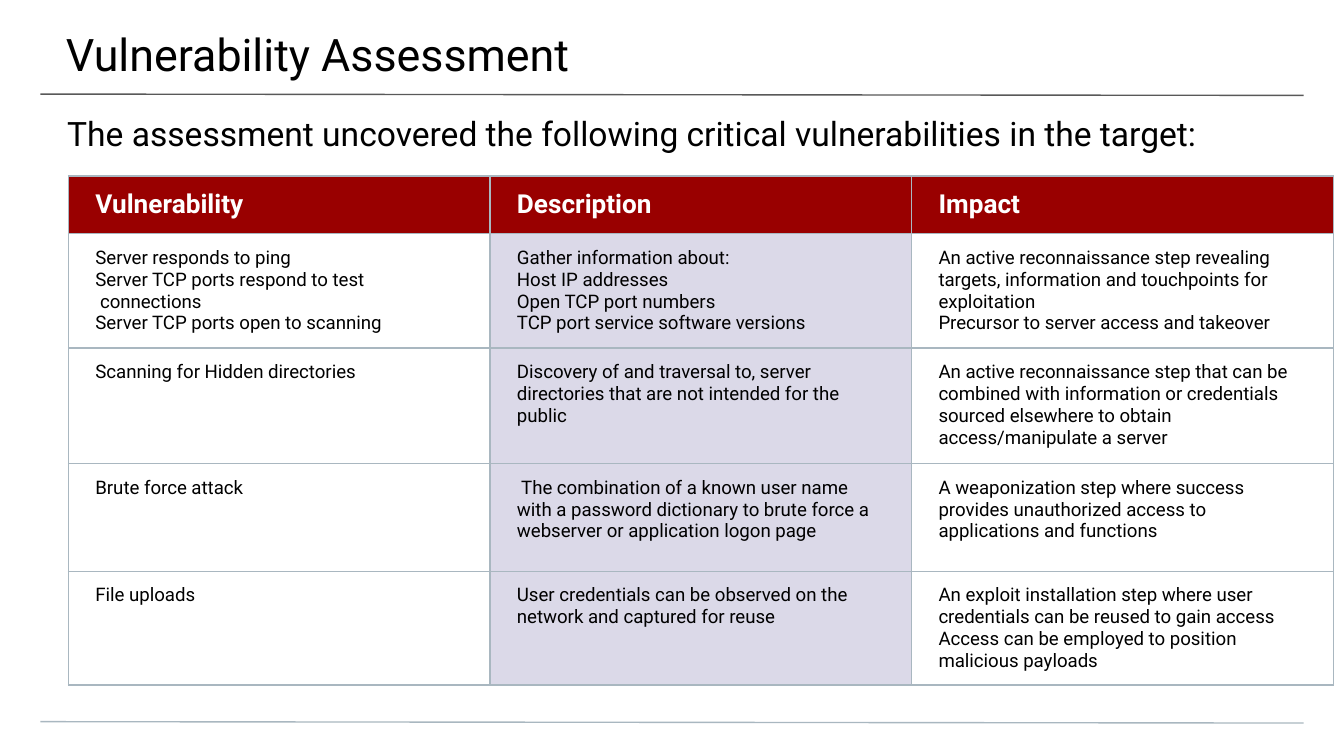
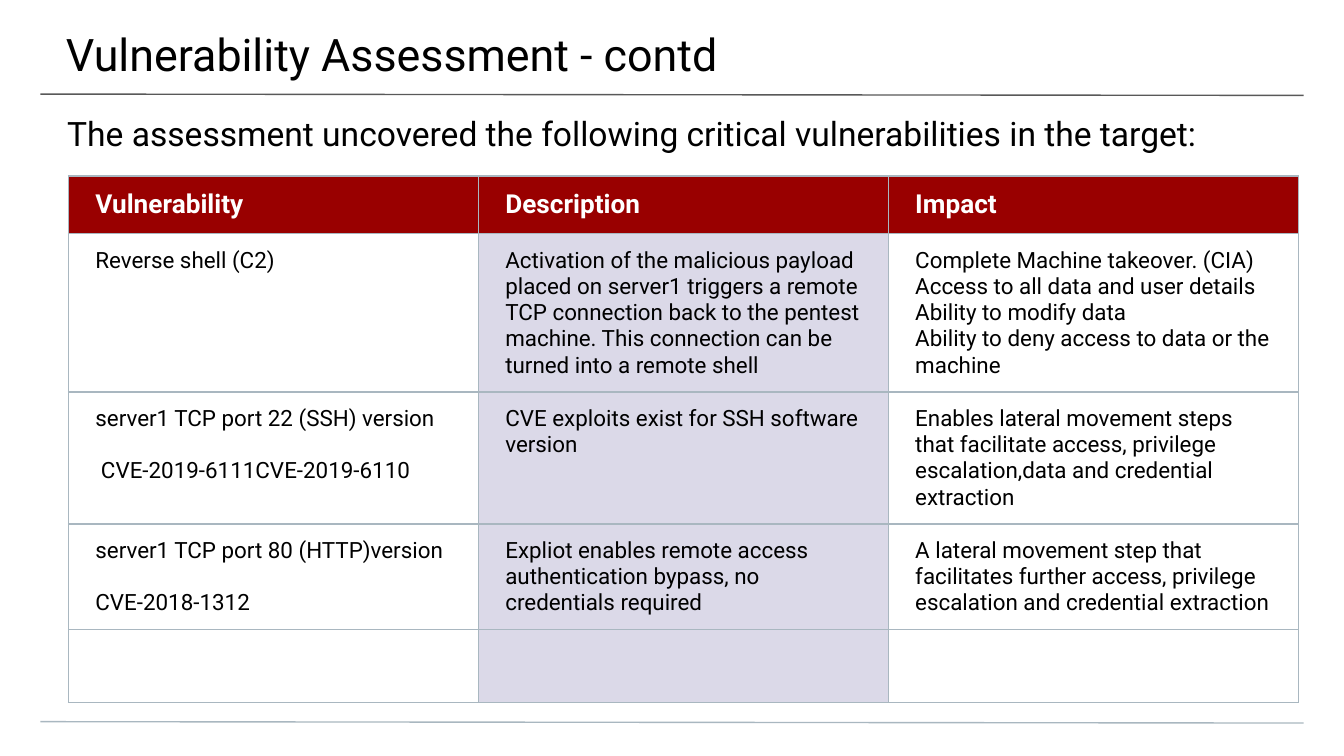
import pptx
import pptx.dml.color
import pptx.enum.shapes
import pptx.enum.text
import pptx.oxml
import pptx.oxml.ns
import pptx.util
from lxml import etree

Inches, Pt = pptx.util.Inches, pptx.util.Pt
ANCHOR = pptx.enum.text.MSO_ANCHOR

# Content: each cell is a list of paragraphs
SUBTITLE = "The assessment uncovered the following critical vulnerabilities in the target:"
HEADERS = ["Vulnerability", "Description", "Impact"]

SLIDES = [
    {
        "title": "Vulnerability Assessment",
        "size": 10,
        "table_width": 9.41,
        "row_heights": [0.42, 0.85, 0.86, 0.8, 0.8],
        "rows": [
            (["Server responds to ping",
              "Server TCP ports respond to test\n connections",
              "Server TCP ports open to scanning"],
             ["Gather information about:",
              "Host IP addresses\nOpen TCP port numbers\nTCP port service software versions"],
             ["An active reconnaissance step revealing targets, information and "
              "touchpoints for exploitation",
              "Precursor to server access and takeover"]),
            (["Scanning for Hidden directories"],
             ["Discovery of and traversal to, server directories that are not "
              "intended for the public"],
             ["An active reconnaissance step that can be combined with information "
              "or credentials sourced elsewhere to obtain access/manipulate a server"]),
            (["Brute force attack"],
             [" The combination of a known user name with a password dictionary to "
              "brute force a webserver or application logon page"],
             ["A weaponization step where success provides unauthorized access to "
              "applications and functions"]),
            (["File uploads"],
             ["User credentials can be observed on the network and captured for reuse"],
             ["An exploit installation step where user credentials can be reused to "
              "gain access",
              "Access can be employed to position malicious payloads"]),
        ],
    },
    {
        "title": "Vulnerability Assessment - contd",
        "size": 12,
        "table_width": 9.15,
        "row_heights": [0.36, 1, 0.67, 0.75, 0.54],
        "first_col_gap": 14,
        "rows": [
            (["Reverse shell (C2)"],
             ["Activation of the malicious payload placed on server1 triggers a remote "
              "TCP connection back to the pentest machine. This connection can be "
              "turned into a remote shell"],
             ["Complete Machine takeover. (CIA)",
              "Access to all data and user details",
              "Ability to modify data",
              "Ability to deny access to data or the machine"]),
            (["server1 TCP port 22 (SSH) version", " CVE-2019-6111CVE-2019-6110"],
             ["CVE exploits exist for SSH software version"],
             ["Enables lateral movement steps that facilitate access, privilege "
              "escalation,data and credential extraction"]),
            (["server1 TCP port 80 (HTTP)version", "CVE-2018-1312"],
             ["Expliot enables remote access authentication bypass, no credentials "
              "required"],
             ["A lateral movement step that facilitates further access, privilege "
              "escalation and credential extraction"]),
            ([], [], []),
        ],
    },
]


# Theme
class Theme:
    font = "Roboto"
    text, white = "000000", "FFFFFF"
    header, tint = "990000", "DBD9E8"
    top_rule, border = "595959", "A9B7C0"
    title_size, subtitle_size, header_size = 24, 18, 14
    line_width = 0.75


def rgb(value):
    return pptx.dml.color.RGBColor.from_string(value)


def set_insets(target, left, top, right, bottom):
    target.margin_left, target.margin_top = Inches(left), Inches(top)
    target.margin_right, target.margin_bottom = Inches(right), Inches(bottom)


def write(tf, paragraphs, size, color=Theme.text, bold=False, gap=0):
    for i, text in enumerate(paragraphs):
        p = tf.paragraphs[0] if i == 0 else tf.add_paragraph()
        p.alignment = pptx.enum.text.PP_ALIGN.LEFT
        p.space_before = Pt(gap if i else 0)
        for j, line in enumerate(text.split("\n")):
            if j:
                p.add_line_break()
            r = p.add_run()
            r.text = line
            r.font.name, r.font.size, r.font.bold = Theme.font, Pt(size), bold
            r.font.color.rgb = rgb(color)


# Shared parts: placeholders and rules
def fill_placeholder(sp, box, insets, text, size):
    sp.left, sp.top, sp.width, sp.height = map(Inches, box)
    tf = sp.text_frame
    tf.word_wrap = True
    tf.auto_size = pptx.enum.text.MSO_AUTO_SIZE.NONE
    tf.vertical_anchor = ANCHOR.TOP
    set_insets(tf, *insets)
    write(tf, [text], size)


def add_rule(s, y, color):
    line = s.shapes.add_connector(
        pptx.enum.shapes.MSO_CONNECTOR.STRAIGHT,
        Inches(0.3), Inches(y), Inches(9.7), Inches(y + 0.01))
    line.line.color.rgb = rgb(color)
    line.line.width = Pt(Theme.line_width)
    etree.SubElement(line._element.spPr, pptx.oxml.ns.qn("a:effectLst"))


# Table
def set_borders(cell):
    tcPr = cell._tc.get_or_add_tcPr()
    for i, side in enumerate(("lnL", "lnR", "lnT", "lnB")):
        tcPr.insert(i, pptx.oxml.parse_xml(
            f'<a:{side} {pptx.oxml.ns.nsdecls("a")} w="{Pt(Theme.line_width)}">'
            f'<a:solidFill><a:srgbClr val="{Theme.border}"/></a:solidFill></a:{side}>'))


def set_fill(cell, color):
    if color:
        cell.fill.solid()
        cell.fill.fore_color.rgb = rgb(color)
    else:
        cell.fill.background()


def add_findings(s, data):
    heights, width = data["row_heights"], Inches(data["table_width"])
    table = s.shapes.add_table(
        len(heights), len(HEADERS), Inches(0.51), Inches(1.31),
        width, Inches(sum(heights))).table
    for row, height in zip(table.rows, heights):
        row.height = Inches(height)
    for col in table.columns:
        col.width = width // len(HEADERS)

    grid = [[[h] for h in HEADERS], *data["rows"]]
    for i, row in enumerate(grid):
        for j, paragraphs in enumerate(row):
            cell = table.cell(i, j)
            set_insets(cell, 0.2, 0.1, 0.2, 0.1)
            if i == 0:
                cell.vertical_anchor = ANCHOR.MIDDLE
                set_fill(cell, Theme.header)
                write(cell.text_frame, paragraphs, Theme.header_size, Theme.white, True)
            else:
                cell.vertical_anchor = ANCHOR.TOP
                set_fill(cell, Theme.tint if j == 1 else None)
                gap = data.get("first_col_gap", 0) if j == 0 else 0
                write(cell.text_frame, paragraphs, data["size"], gap=gap)
            set_borders(cell)


def build_slide(prs, data):
    s = prs.slides.add_slide(prs.slide_layouts[0])
    s.background.fill.solid()
    s.background.fill.fore_color.rgb = rgb(Theme.white)
    add_rule(s, 0.7, Theme.top_rule)
    add_rule(s, 5.37, Theme.border)
    fill_placeholder(s.shapes.title, (-0.01, 0, 10.03, 0.58), (0.5, 0.2, 0.3, 0.1),
                     data["title"], Theme.title_size)
    fill_placeholder(s.placeholders[1], (0, 0.74, 10, 0.4), (0.5, 0.1, 0.5, 0),
                     SUBTITLE, Theme.subtitle_size)
    add_findings(s, data)


def main():
    prs = pptx.Presentation()
    # 16:9 page
    prs.slide_width = Inches(10)
    prs.slide_height = prs.slide_width * 9 // 16
    for data in SLIDES:
        build_slide(prs, data)
    prs.save("out.pptx")


if __name__ == "__main__":
    main()
